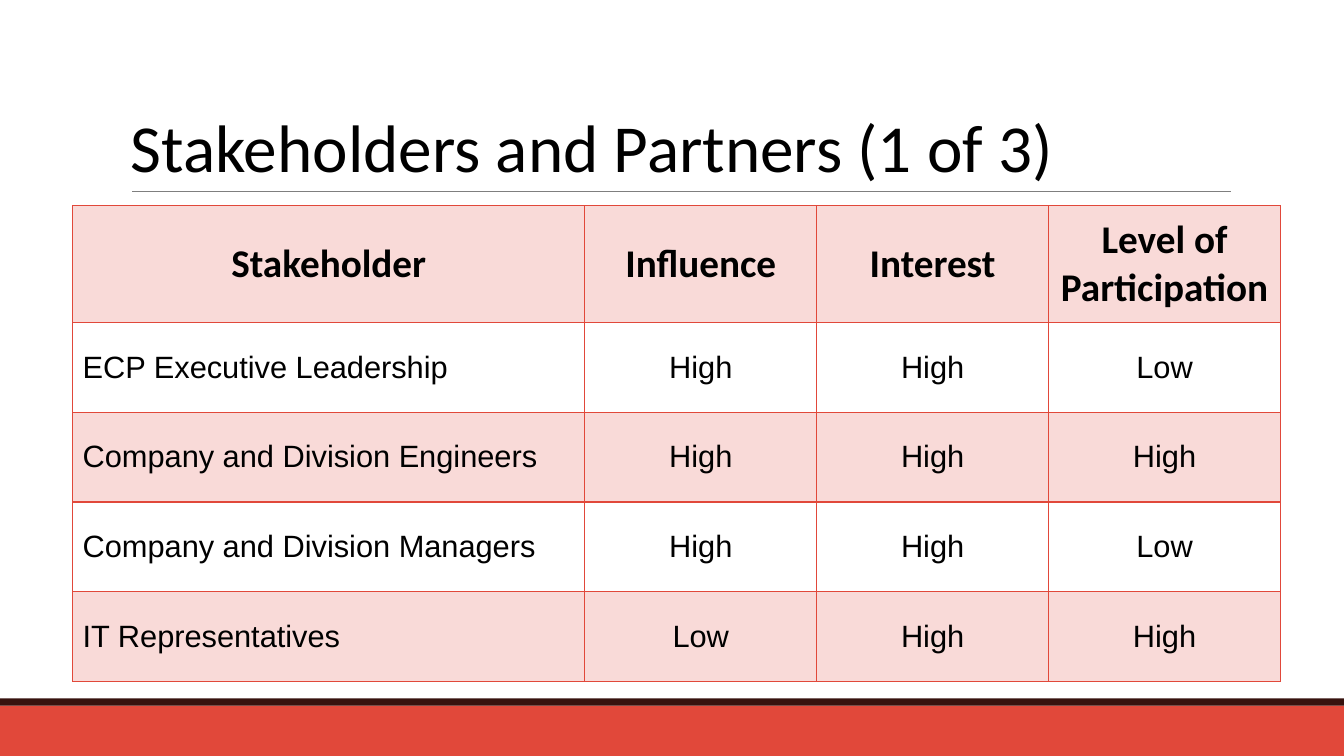
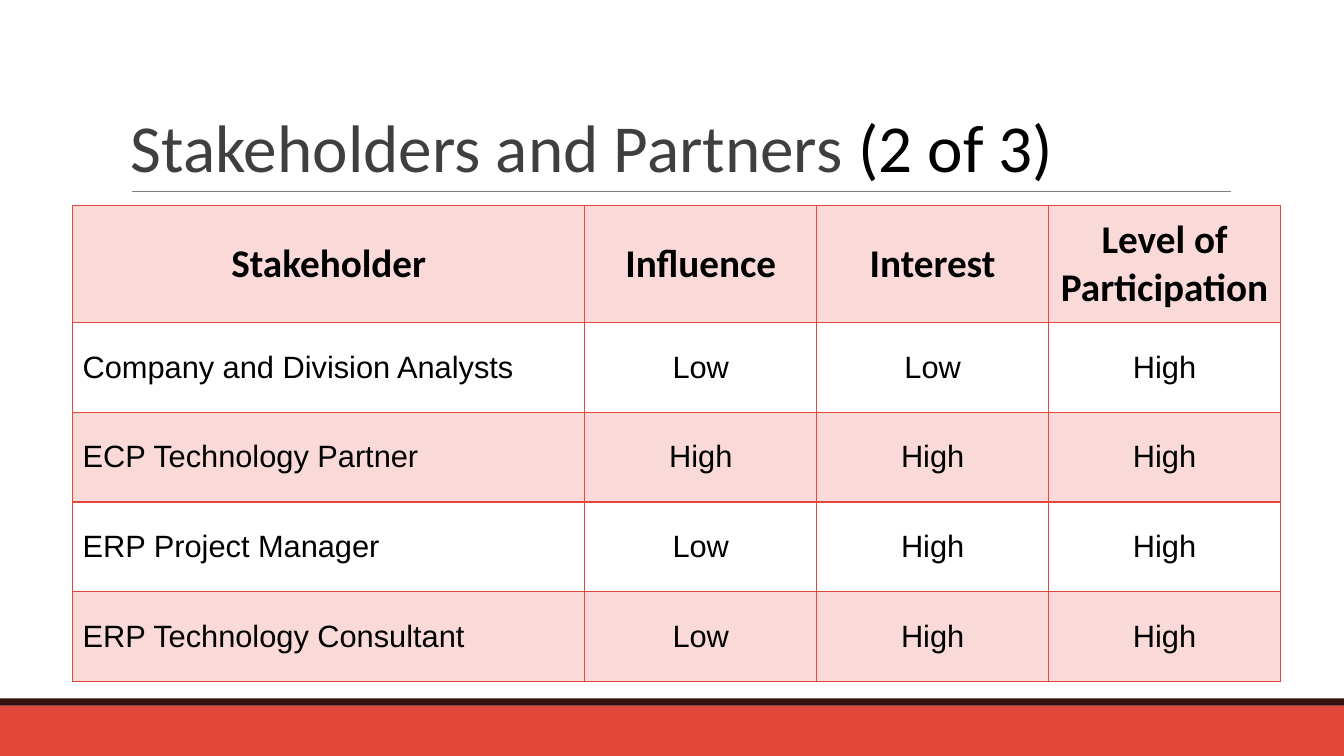
from lxml.etree import SubElement
from pptx import Presentation
from pptx.dml.color import RGBColor
from pptx.enum.shapes import MSO_CONNECTOR, MSO_SHAPE
from pptx.enum.text import MSO_ANCHOR, PP_ALIGN
from pptx.oxml.ns import qn
from pptx.util import Inches, Pt

RED = RGBColor(0xE1, 0x48, 0x3A)
PINK = RGBColor(0xF9, 0xDA, 0xD8)
MAROON = RGBColor(0x37, 0x12, 0x0E)
GRAY = RGBColor(0x7F, 0x7F, 0x7F)
CHARCOAL = RGBColor(0x3F, 0x3F, 0x3F)
BLACK = RGBColor(0, 0, 0)

PAGE_WIDTH, PAGE_HEIGHT = 13.33, 7.5
TITLE_BOX = (1.2, 0.31, 11, 1.59)
TABLE_BOX = (0.72, 2.04, 11.98, 4.72)
FOOTER_BOX = (0, 6.93, PAGE_WIDTH, 0.57)
FOOTER_STRIPE = 0.07
RATING_WIDTH = 2.3
HEADER_HEIGHT = 1.16

HEADERS = ("Stakeholder", "Influence", "Interest", "Level of Participation")
PAGES = (
    (
        (("Stakeholders and Partners ", BLACK), ("(1 of 3)", BLACK)),
        (
            ("ECP Executive Leadership", "High", "High", "Low"),
            ("Company and Division Engineers", "High", "High", "High"),
            ("Company and Division Managers", "High", "High", "Low"),
            ("IT Representatives", "Low", "High", "High"),
        ),
    ),
    (
        (("Stakeholders and Partners ", CHARCOAL), ("(2 of 3)", BLACK)),
        (
            ("Company and Division Analysts", "Low", "Low", "High"),
            ("ECP Technology Partner", "High", "High", "High"),
            ("ERP Project Manager", "Low", "High", "High"),
            ("ERP Technology Consultant", "Low", "High", "High"),
        ),
    ),
)


def add_span(para, text, *, font="Calibri", size=28, color=BLACK, bold=False):
    """Append formatted text to a paragraph."""
    span = para.add_run()
    span.text = text
    span.font.name = font
    span.font.size = Pt(size)
    span.font.color.rgb = color
    span.font.bold = bold


def add_band(page, box, color):
    """Draw a plain filled rectangle."""
    band = page.shapes.add_shape(MSO_SHAPE.RECTANGLE, *map(Inches, box))
    band.shadow.inherit = False
    band.fill.solid()
    band.fill.fore_color.rgb = color
    band.line.fill.background()


def add_footer(page, box):
    """Draw the footer band with its dark stripe on top."""
    left, top, width, height = box
    add_band(page, (left, top + FOOTER_STRIPE, width, height - FOOTER_STRIPE), RED)
    add_band(page, (left, top, width, FOOTER_STRIPE), MAROON)


def add_title(page, box, parts):
    """Write the title at the bottom of its box, above a thin rule."""
    left, top, width, height = box
    bottom = Inches(top + height)
    rule = page.shapes.add_connector(
        MSO_CONNECTOR.STRAIGHT, Inches(left + 0.11), bottom, Inches(left + width + 0.01), bottom
    )
    rule.line.color.rgb = GRAY
    rule.line.width = Pt(0.75)
    SubElement(rule._element.spPr, qn("a:effectLst"))

    frame = page.shapes.add_textbox(*map(Inches, box)).text_frame
    frame.word_wrap = True
    frame.vertical_anchor = MSO_ANCHOR.BOTTOM
    para = frame.paragraphs[0]
    para.line_spacing = 0.85
    for text, color in parts:
        add_span(para, text, size=48, color=color)


def add_borders(cell):
    """Outline a table cell on all four sides."""
    properties = cell._tc.get_or_add_tcPr()
    for side in ("lnL", "lnR", "lnT", "lnB"):
        border = SubElement(properties, qn(f"a:{side}"), w=str(Pt(1)))
        fill = SubElement(border, qn("a:solidFill"))
        SubElement(fill, qn("a:srgbClr"), val=str(RED))


def fill_cell(cell, text, *, shaded, centered, **style):
    """Format one table cell and write its text."""
    add_borders(cell)
    if shaded:
        cell.fill.solid()
        cell.fill.fore_color.rgb = PINK
    else:
        cell.fill.background()
    cell.vertical_anchor = MSO_ANCHOR.MIDDLE
    para = cell.text_frame.paragraphs[0]
    para.alignment = PP_ALIGN.CENTER if centered else PP_ALIGN.LEFT
    add_span(para, text, **style)


def add_stakeholder_table(page, box, records):
    """Build the stakeholder table with shaded alternate rows."""
    rows = (HEADERS, *records)
    _, _, width, height = box
    table = page.shapes.add_table(len(rows), len(HEADERS), *map(Inches, box)).table
    ratings = len(HEADERS) - 1
    for index, column in enumerate(table.columns):
        column.width = Inches(RATING_WIDTH if index else width - ratings * RATING_WIDTH)
    for index, row in enumerate(table.rows):
        row.height = Inches((height - HEADER_HEIGHT) / len(records) if index else HEADER_HEIGHT)

    for row_index, texts in enumerate(rows):
        is_header = row_index == 0
        style = {"bold": True} if is_header else {"font": "Arial", "size": 22}
        for column_index, text in enumerate(texts):
            fill_cell(
                table.cell(row_index, column_index),
                text,
                shaded=row_index % 2 == 0,
                centered=is_header or column_index > 0,
                **style,
            )


def add_stakeholder_page(deck, title_parts, records):
    """Add one slide with footer, title and stakeholder table."""
    page = deck.slides.add_slide(deck.slide_layouts[6])
    add_footer(page, FOOTER_BOX)
    add_title(page, TITLE_BOX, title_parts)
    add_stakeholder_table(page, TABLE_BOX, records)


def main():
    """Build and save the deck."""
    deck = Presentation()
    deck.slide_width = Inches(PAGE_WIDTH)
    deck.slide_height = Inches(PAGE_HEIGHT)
    for title_parts, records in PAGES:
        add_stakeholder_page(deck, title_parts, records)
    deck.save("out.pptx")


if __name__ == "__main__":
    main()
